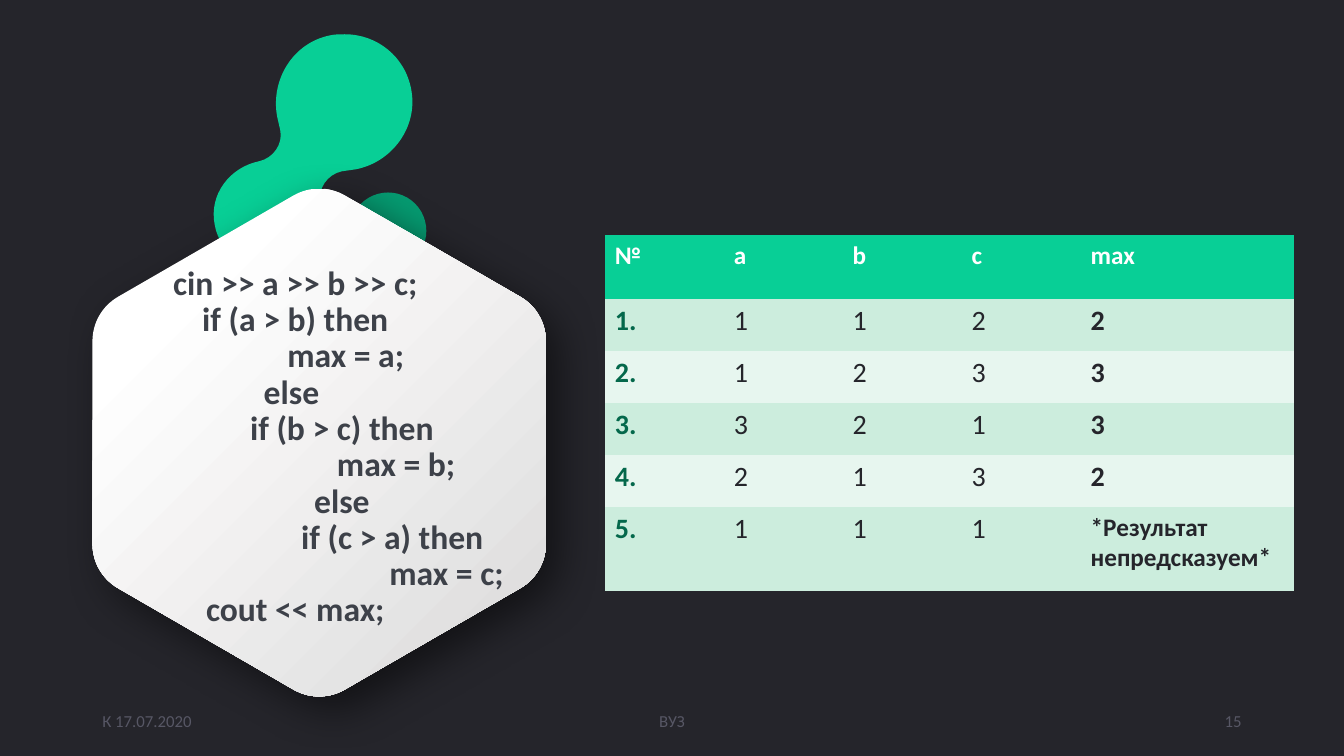
import math

from lxml import etree
from pptx import Presentation
from pptx import util as u
from pptx.dml.color import RGBColor
from pptx.enum import shapes, text
from pptx.oxml import ns

CELL = u.Inches(1 / 12)  # the slide is a grid of 160 columns by 90 rows
FINE = 100  # steps per cell in an outline
FONT = "Calibri"
GREEN, DARK_GREEN, DARK = "08CF96", "069B71", "25252B"
NO_STYLE = "{2D5ABB26-0587-4C30-8999-92F81FD0307C}"

# One point is a line to it, three points are a Bezier curve.
BLOB_START = (48.96, 10.68)
BLOB = [
    [(49.8, 15.12), (46.68, 19.32), (42.36, 20.16)],
    [(40.68, 20.4)],
    [(39, 20.76), (37.8, 22.44), (38.16, 24.12)],
    [(38.88, 27.6), (36.6, 31.2), (33.12, 31.8)],
    [(29.64, 32.52), (26.16, 30.24), (25.56, 26.76)],
    [(24.84, 23.16), (27.36, 19.92), (30.84, 19.2)],
    [(32.52, 18.84), (33.72, 17.16), (33.36, 15.48)],
    [(33, 13.92)],
    [(32.16, 9.48), (34.92, 5.04), (39.36, 4.2)],
    [(39.96, 4.08), (40.44, 4.08), (41.04, 4.08)],
    [(44.88, 4.08), (48.24, 6.72), (48.96, 10.68)],
]
HEXAGON_CENTRE = (38, 52.68)
TOP_CORNER = [(-3.06, -29.4), (-1.14, -30.5), (1.14, -30.5), (3.06, -29.4)]

CODE = """cin >> a >> b >> c;
if (a > b) then
\tmax = a;
else 
\tif (b > c) then 
\t\tmax = b;
\telse 
\t\tif (c > a) then 
\t\t\tmax = c;
cout << max;"""

COLUMNS = [14.16] * 4 + [25.44]
ROWS = [7.62] + [6.19] * 4 + [9.98]
HEADER = ["№", "a", "b", "c", "max"]
TESTS = [
    ["1.", "1", "1", "2", "2"],
    ["2.", "1", "2", "3", "3"],
    ["3.", "3", "2", "1", "3"],
    ["4.", "2", "1", "3", "2"],
    ["5.", "1", "1", "1", "*Результат непредсказуем*"],
]


def grid(*values):
    return [round(value * CELL) for value in values]


def colour(value):
    return RGBColor.from_string(value)


def paint(fill, value):
    fill.solid()
    fill.fore_color.rgb = colour(value)


def write(frame, words, size=12, shade=DARK, bold=False,
          align=text.PP_ALIGN.LEFT, anchor=None, spacing=None):
    frame.word_wrap = True
    if anchor is not None:
        frame.vertical_anchor = anchor
    paragraph = frame.paragraphs[0]
    paragraph.text = words
    paragraph.alignment = align
    paragraph.line_spacing = spacing
    paragraph._p.get_or_add_pPr().set("defTabSz", str(u.Inches(1)))
    for run in paragraph.runs:
        run.font.name = FONT
        run.font.size = u.Pt(size)
        run.font.bold = bold
        run.font.color.rgb = colour(shade)


def text_box(slide, place, words, **style):
    write(slide.shapes.add_textbox(*grid(*place)).text_frame, words, **style)


def outline(slide, start, segments):
    """Draw a closed outline of lines and Bezier curves."""
    points = [(x * FINE, y * FINE) for part in segments for x, y in part]
    builder = slide.shapes.build_freeform(
        start[0] * FINE, start[1] * FINE, scale=CELL / FINE)
    builder.add_line_segments(points, close=True)
    shape = builder.convert_to_shape()
    lines = iter(list(shape._element.iter(ns.qn("a:lnTo"))))
    for part in segments:
        steps = [next(lines) for _ in part]
        if len(steps) == 3:
            curve = etree.Element(ns.qn("a:cubicBezTo"))
            steps[0].addprevious(curve)
            for step in steps:
                curve.append(step[0])
                step.getparent().remove(step)
    shape.shadow.inherit = False
    shape.line.fill.background()
    return shape


def add_shadow(shape):
    effects = shape._element.spPr.find(ns.qn("a:effectLst"))
    shadow = etree.SubElement(
        effects, ns.qn("a:outerShdw"), blurRad=str(u.Pt(30)),
        dist=str(u.Pt(14)), dir="2700000", algn="tl", rotWithShape="0")
    black = etree.SubElement(shadow, ns.qn("a:srgbClr"), val="000000")
    etree.SubElement(black, ns.qn("a:alpha"), val="50000")


def add_drops(slide):
    paint(outline(slide, BLOB_START, BLOB).fill, GREEN)
    drop = slide.shapes.add_shape(shapes.MSO_SHAPE.OVAL,
                                  *grid(41.64, 22.92, 9.12, 9.12))
    drop.shadow.inherit = False
    drop.line.fill.background()
    paint(drop.fill, DARK_GREEN)


def turned_corner(turn):
    """Turn the top corner clockwise by sixths of a circle."""
    cos, sin = math.cos(turn * math.pi / 3), math.sin(turn * math.pi / 3)
    centre_x, centre_y = HEXAGON_CENTRE
    return [(centre_x + x * cos - y * sin, centre_y + x * sin + y * cos)
            for x, y in TOP_CORNER]


def add_hexagon(slide):
    corners = [turned_corner(turn) for turn in range(6)]
    segments = []
    for corner in corners:
        segments += [corner[:1], corner[1:]]
    hexagon = outline(slide, corners[0][0], segments[1:])
    hexagon.fill.gradient()
    hexagon.fill.gradient_angle = 315
    stops = [(0.2, "FFFFFF"), (1, "DAD9D9")]
    for stop, (position, shade) in zip(hexagon.fill.gradient_stops, stops):
        stop.position = position
        stop.color.rgb = colour(shade)
    add_shadow(hexagon)


def cell_style(row, column, words):
    if row == 0:
        return dict(size=18, shade="FFFFFF", bold=True)
    if column == 0:
        return dict(size=20, shade="04684B", bold=True)
    return dict(size=18 if len(words) > 2 else 20,
                bold=column == len(COLUMNS) - 1)


def add_tests(slide):
    frame = slide.shapes.add_table(
        len(ROWS), len(COLUMNS), *grid(72, 28, sum(COLUMNS), sum(ROWS)))
    table = frame.table
    table._tbl.tblPr.find(ns.qn("a:tableStyleId")).text = NO_STYLE
    for column, width in zip(table.columns, grid(*COLUMNS)):
        column.width = width
    for row, height in zip(table.rows, grid(*ROWS)):
        row.height = height
    for i, row in enumerate([HEADER] + TESTS):
        band = GREEN if i == 0 else ("E7F6EF", "CCEDDD")[i % 2]
        for j, words in enumerate(row):
            cell = table.cell(i, j)
            paint(cell.fill, band)
            write(cell.text_frame, words, **cell_style(i, j, words))


def main():
    presentation = Presentation()
    presentation.slide_width, presentation.slide_height = grid(160, 90)
    slide = presentation.slides.add_slide(presentation.slide_layouts[6])
    paint(slide.background.fill, DARK)
    add_drops(slide)
    footer = [(11, 36, "К 17.07.2020", text.PP_ALIGN.LEFT),
              (53, 54, "ВУЗ", text.PP_ALIGN.CENTER),
              (113, 36, "15", text.PP_ALIGN.RIGHT)]
    for left, width, words, align in footer:
        text_box(slide, (left, 83.4, width, 4.8), words, shade="575765",
                 align=align, anchor=text.MSO_ANCHOR.MIDDLE)
    add_hexagon(slide)
    text_box(slide, (8.16, 29.88, 54, 45.6), CODE, size=24, shade="3D4149",
             bold=True, align=text.PP_ALIGN.CENTER,
             anchor=text.MSO_ANCHOR.BOTTOM, spacing=0.9)
    add_tests(slide)
    presentation.save("out.pptx")


if __name__ == "__main__":
    main()
